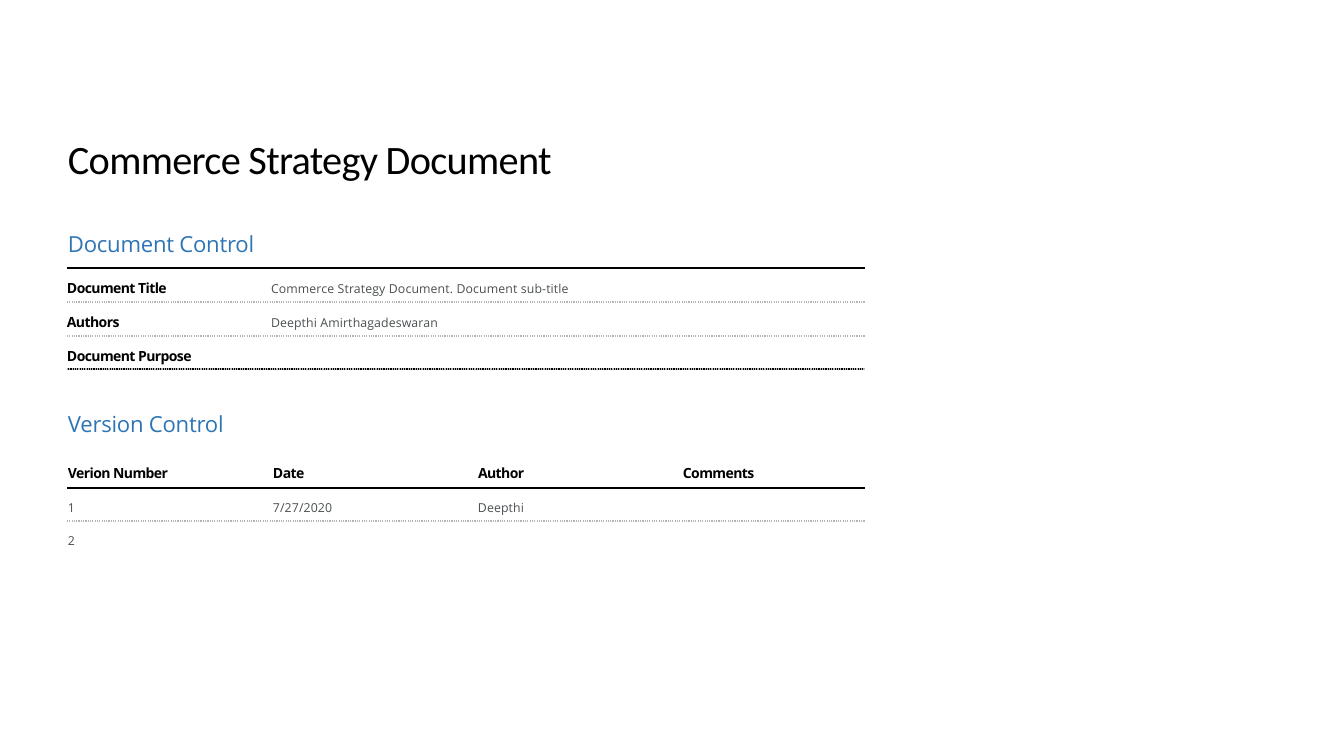
from pptx import Presentation
from pptx.dml.color import RGBColor
from pptx.enum.dml import MSO_LINE
from pptx.enum.shapes import MSO_CONNECTOR
from pptx.enum.text import MSO_ANCHOR
from pptx.oxml.ns import qn
from pptx.util import Pt
from lxml.etree import SubElement

SCALE = 914400 / 100.8
BLACK, BLUE, GREY, DOT = "000000", "2E75B5", "4B4F51", "B4B5B7"

# Styles: text format by role
TITLE = dict(size=28.8, font="Calibri", color=BLACK, track=-0.5, anchor=MSO_ANCHOR.MIDDLE)
HEAD = dict(size=15.8, color=BLUE, track=-0.2)
LABEL = dict(size=10, color=BLACK, bold=True, track=-0.4, before=0.6)
VALUE = dict(size=8.8, color=GREY, track=0.1)

# Content: each text comes with the width of its box
HEADS = [("Document Control", 190, 229), ("Version Control", 160, 409)]
DETAILS = [
    (("Document Title", 106), ("Commerce Strategy Document. Document sub-title", 306)),
    (("Authors", 58), ("Deepthi Amirthagadeswaran", 173)),
    (("Document Purpose", 134), None),
]
COLUMNS = [("Verion Number", 108), ("Date", 36), ("Author", 51), ("Comments", 77)]
VERSIONS = [
    [("1", 11), ("7/27/2020", 63), ("Deepthi", 50)],
    [("2", 11)],
]

# Layout in pixels
LEFT, RIGHT, COL = 67, 865, 205
DETAIL_TOP, DETAIL_STEP = 279, 34
HEADER_TOP, VERSION_TOP, VERSION_STEP = 464, 499, 33
SOLID, DOTTED = [268, 369, 488], [302, 336, 369, 521]


def px(n):
    """Turn pixels into EMU."""
    return round(n * SCALE)


def rgb(code):
    """Turn a hex string into a colour."""
    return RGBColor.from_string(code)


def write(text, x, y, w, h, *, size, color, track, font="Open Sans",
          bold=False, before=0.8, anchor=MSO_ANCHOR.TOP):
    """Add a one-line text box."""
    frame = slide.shapes.add_textbox(px(x), px(y), px(w), px(h)).text_frame
    frame.word_wrap, frame.vertical_anchor = True, anchor
    frame.margin_left = frame.margin_right = frame.margin_bottom = 0
    frame.margin_top = px(1)
    para = frame.paragraphs[0]
    para.space_before = Pt(before)
    para._p.get_or_add_pPr().set("marL", str(px(1)))
    run = para.add_run()
    run.text = text
    run.font.name, run.font.size, run.font.bold = font, Pt(size), bold
    run.font.color.rgb = rgb(color)
    run._r.get_or_add_rPr().set("spc", str(round(track * 100)))


def rule(y, color, dash=None):
    """Draw a line across the full table width."""
    line = slide.shapes.add_connector(
        MSO_CONNECTOR.STRAIGHT, px(LEFT), px(y), px(RIGHT), px(y))
    line.line.width = Pt(0.82)
    line.line.color.rgb = rgb(color)
    if dash:
        line.line.dash_style = dash
    SubElement(line._element.spPr, qn("a:effectLst"))


deck = Presentation()
deck.slide_width, deck.slide_height = px(1344), px(756)
slide = deck.slides.add_slide(deck.slide_layouts[6])

for y in SOLID:
    rule(y, "000101")
for y in DOTTED:
    rule(y, DOT, MSO_LINE.ROUND_DOT)

write("Commerce Strategy Document", LEFT, 133, 563, 50, **TITLE)
for text, w, y in HEADS:
    write(text, LEFT, y, w, 28, **HEAD)

for i, (label, value) in enumerate(DETAILS):
    y = DETAIL_TOP + i * DETAIL_STEP
    write(label[0], LEFT - 1, y, label[1], 18, **LABEL)
    if value:
        write(value[0], LEFT + COL - 2, y + 1, value[1], 16, **VALUE)

for j, (text, w) in enumerate(COLUMNS):
    write(text, LEFT + j * COL, HEADER_TOP, w, 18, **LABEL)
for i, row in enumerate(VERSIONS):
    for j, (text, w) in enumerate(row):
        write(text, LEFT + j * COL, VERSION_TOP + i * VERSION_STEP, w, 16, **VALUE)

deck.save("out.pptx")
